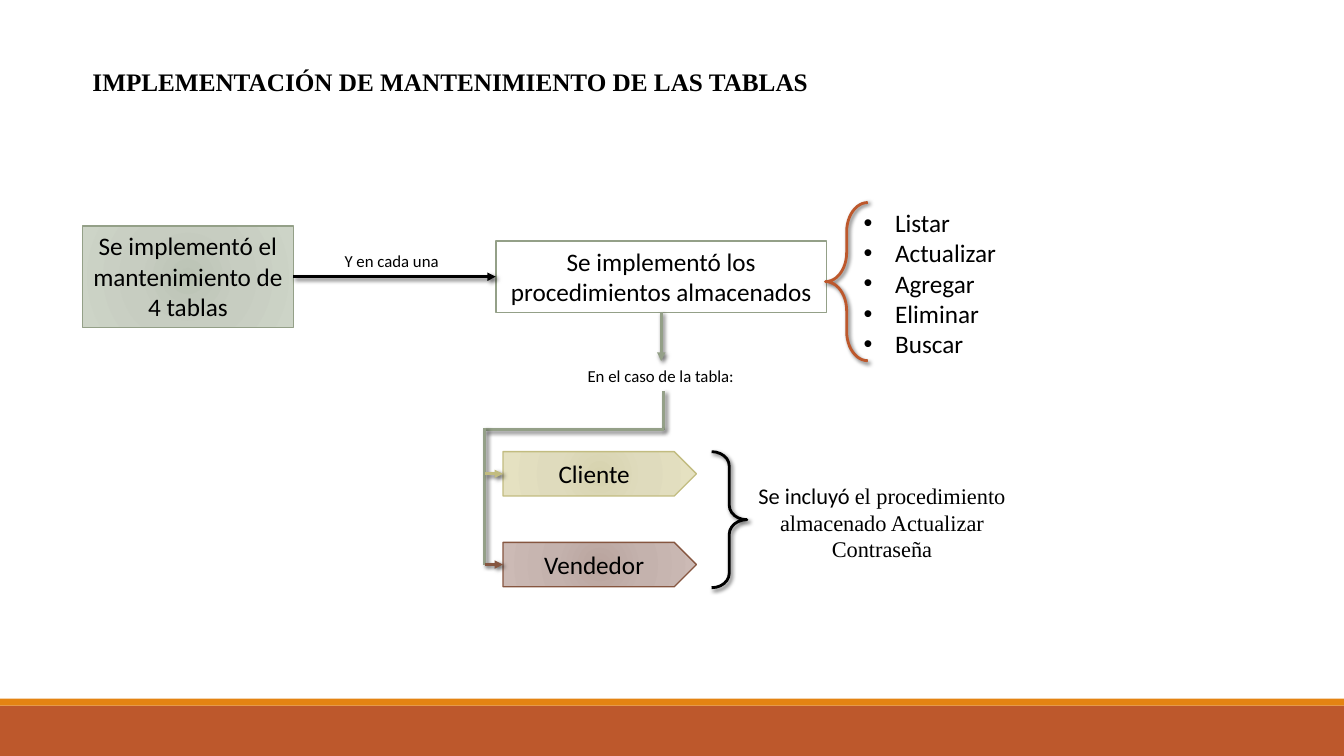
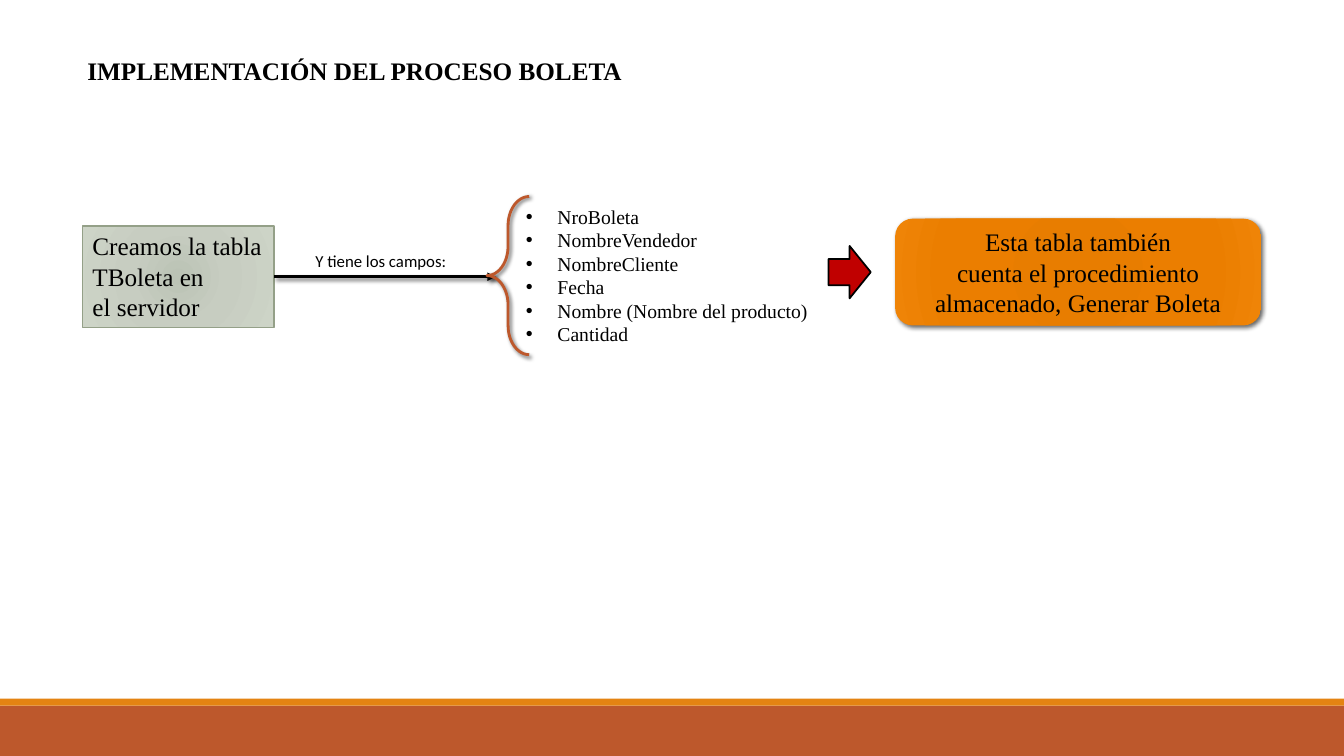
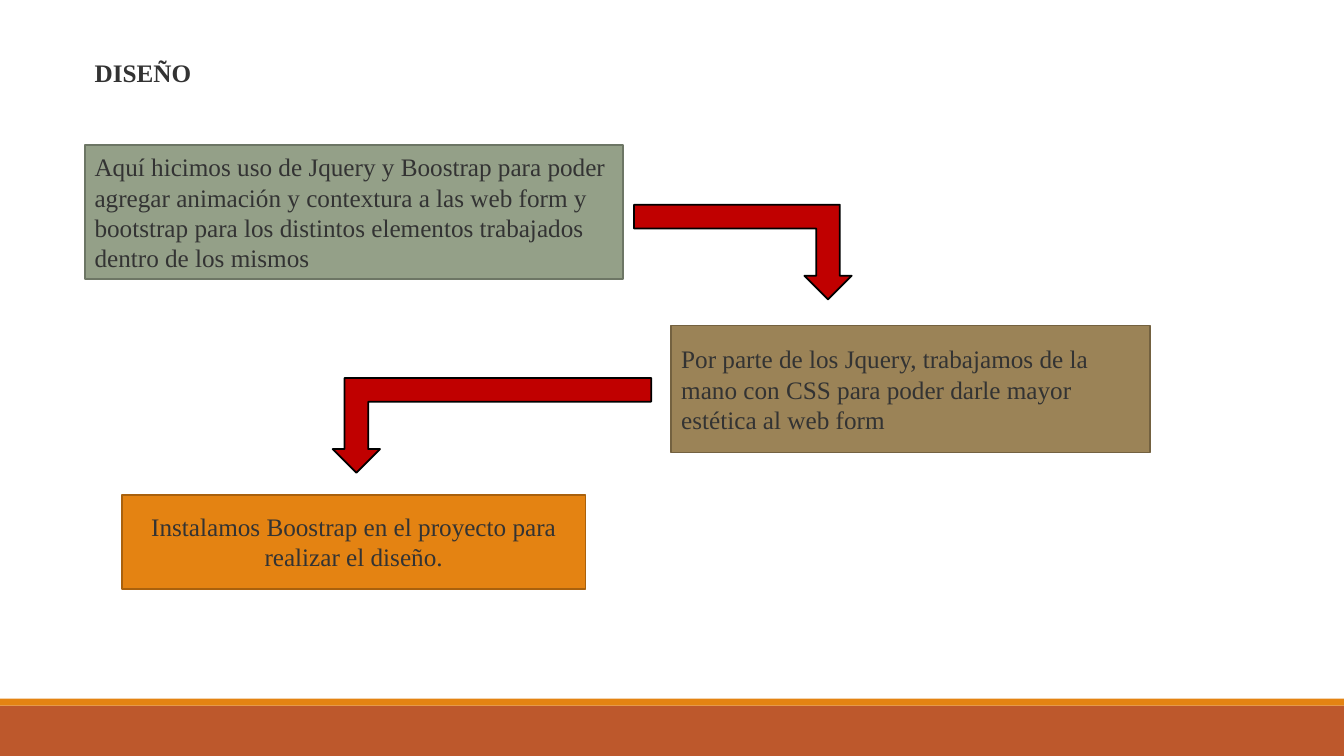
from dataclasses import dataclass, replace
from typing import Optional, Union

from lxml.etree import SubElement
from pptx import Presentation
from pptx.dml.color import RGBColor
from pptx.enum.shapes import MSO_CONNECTOR, MSO_SHAPE
from pptx.enum.text import MSO_ANCHOR, MSO_AUTO_SIZE, PP_ALIGN
from pptx.oxml import parse_xml
from pptx.oxml.ns import nsdecls, qn
from pptx.util import Pt


# Theme and descriptions of repeated elements
@dataclass(frozen=True)
class Gradient:
    stops: tuple[tuple[int, str], ...]


@dataclass(frozen=True)
class Stroke:
    color: str
    width: float


@dataclass(frozen=True)
class Theme:
    black: str = "000000"
    ink: str = "333333"
    white: str = "FFFFFF"
    rust: str = "BD582C"
    orange: str = "E48312"
    red: str = "C00000"
    sage: str = "94A088"
    sage_edge: str = "6D7665"
    brown: str = "9B8357"
    brown_edge: str = "736140"
    orange_edge: str = "A9610D"
    khaki: str = "C2BC80"
    maroon: str = "865640"
    sage_fade: Gradient = Gradient(((0, "BBC3B5"), (45, "C7CDC1"), (100, "CDD4C7")))
    khaki_fade: Gradient = Gradient(((0, "D7D3AF"), (45, "DFDBBD"), (100, "E5E1C1")))
    maroon_fade: Gradient = Gradient(((0, "B9A49E"), (45, "C4B2AD"), (100, "CCBAB5")))
    orange_fade: Gradient = Gradient(
        ((0, "E57B00"), (34, "E87D00"), (70, "EB7E00"), (100, "EF8407")))
    sans: str = "Calibri"
    serif: str = "Times New Roman"
    body: float = 18
    note: float = 16
    field: float = 14
    label: float = 12


THEME = Theme()


@dataclass(frozen=True)
class Box:
    left: float
    top: float
    width: float
    height: float

    @property
    def middle(self) -> float:
        return self.top + self.height / 2

    @property
    def center(self) -> float:
        return self.left + self.width / 2

    @property
    def right(self) -> float:
        return self.left + self.width

    @property
    def bottom(self) -> float:
        return self.top + self.height

    def lengths(self) -> tuple:
        return Pt(self.left), Pt(self.top), Pt(self.width), Pt(self.height)


@dataclass(frozen=True)
class Style:
    font: str = THEME.sans
    size: float = THEME.body
    color: str = THEME.black
    bold: bool = False
    align: PP_ALIGN = PP_ALIGN.LEFT
    bullet: bool = False
    outline: float = 0


@dataclass(frozen=True)
class Run:
    text: str
    font: Optional[str] = None


Paragraph = tuple[Run, ...]

SANS = Style()
SANS_CENTERED = replace(SANS, align=PP_ALIGN.CENTER)
SERIF = Style(font=THEME.serif)
SERIF_INK = replace(SERIF, color=THEME.ink)
LABEL = Style(size=THEME.label)
TITLE = replace(SERIF, bold=True)
SAGE_STROKE = Stroke(THEME.sage, 2)
BLACK_STROKE = Stroke(THEME.black, 2)
ARROW_EDGE = Stroke(THEME.black, 1.25)
TOP, LEFT, BOTTOM, RIGHT = range(4)


# Drawing functions
def add_shadow(properties, blur: float = 3) -> None:
    """Fill the effect list of a shape or connector, adding it if needed."""
    effects = properties.find(qn("a:effectLst"))
    if effects is None:
        effects = SubElement(properties, qn("a:effectLst"))
    shadow = SubElement(effects, qn("a:outerShdw"), blurRad=str(Pt(blur)),
                        dist=str(Pt(2)), dir="2700000", algn="tl", rotWithShape="0")
    color = SubElement(shadow, qn("a:srgbClr"), val=THEME.black)
    SubElement(color, qn("a:alpha"), val="60000")


def set_fill(shape, fill: Union[str, Gradient, None]) -> None:
    if isinstance(fill, str):
        shape.fill.solid()
        shape.fill.fore_color.rgb = RGBColor.from_string(fill)
        return
    shape.fill.background()
    if fill is None:
        return
    stops = "".join(f'<a:gs pos="{position * 1000}"><a:srgbClr val="{color}"/></a:gs>'
                    for position, color in fill.stops)
    gradient = parse_xml(
        f'<a:gradFill {nsdecls("a")} rotWithShape="1"><a:gsLst>{stops}</a:gsLst>'
        '<a:path path="circle"><a:fillToRect l="100000" t="100000" r="100000" b="100000"/>'
        '</a:path></a:gradFill>')
    properties = shape.element.spPr
    properties.replace(properties.find(qn("a:noFill")), gradient)


def set_stroke(line, stroke: Optional[Stroke]) -> None:
    if stroke is None:
        line.fill.background()
        return
    line.color.rgb = RGBColor.from_string(stroke.color)
    line.width = Pt(stroke.width)


def paragraphs_of(*texts: str) -> tuple[Paragraph, ...]:
    return tuple((Run(text),) for text in texts)


def write_text(shape, paragraphs: tuple[Paragraph, ...], style: Style,
               anchor: MSO_ANCHOR = MSO_ANCHOR.TOP) -> None:
    frame = shape.text_frame
    frame.word_wrap = True
    frame.vertical_anchor = anchor
    for index, runs in enumerate(paragraphs):
        paragraph = frame.add_paragraph() if index else frame.paragraphs[0]
        paragraph.alignment = style.align
        if style.bullet:
            properties = paragraph._p.get_or_add_pPr()
            properties.set("marL", str(Pt(22.5)))
            properties.set("indent", str(-Pt(22.5)))
            SubElement(properties, qn("a:buFont"), typeface="Arial")
            SubElement(properties, qn("a:buChar"), char="•")
        for part in runs:
            run = paragraph.add_run()
            run.text = part.text
            run.font.name = part.font or style.font
            run.font.size = Pt(style.size)
            run.font.bold = style.bold
            run.font.color.rgb = RGBColor.from_string(style.color)
            if style.outline:
                outline = parse_xml(
                    f'<a:ln {nsdecls("a")} w="{Pt(style.outline)}"><a:solidFill>'
                    f'<a:srgbClr val="{style.color}"/></a:solidFill></a:ln>')
                run.font._element.insert(0, outline)


def add_figure(slide, kind: MSO_SHAPE, box: Box, fill: Union[str, Gradient, None] = None,
               stroke: Optional[Stroke] = None):
    shape = slide.shapes.add_shape(kind, *box.lengths())
    set_fill(shape, fill)
    set_stroke(shape.line, stroke)
    shape.shadow.inherit = False
    return shape


def add_panel(slide, box: Box, fill: Union[str, Gradient], stroke: Optional[Stroke],
              style: Style, *texts: str, kind: MSO_SHAPE = MSO_SHAPE.RECTANGLE,
              anchor: MSO_ANCHOR = MSO_ANCHOR.MIDDLE):
    shape = add_figure(slide, kind, box, fill, stroke)
    write_text(shape, paragraphs_of(*texts), style, anchor)
    return shape


def add_text(slide, box: Box, style: Style, *paragraphs: Paragraph, wrap: bool = True):
    shape = slide.shapes.add_textbox(*box.lengths())
    write_text(shape, paragraphs, style)
    shape.text_frame.word_wrap = wrap
    shape.text_frame.auto_size = MSO_AUTO_SIZE.SHAPE_TO_FIT_TEXT
    return shape


def add_title(slide, box: Box, text: str, color: str = THEME.black) -> None:
    add_text(slide, box, replace(TITLE, color=color), *paragraphs_of(text), wrap=False)


def add_brace(slide, kind: MSO_SHAPE, box: Box, curve: float, color: str) -> None:
    brace = add_figure(slide, kind, box, stroke=Stroke(color, 2))
    brace.adjustments[0] = curve
    brace.adjustments[1] = 0.5
    add_shadow(brace.element.spPr)


def add_line(slide, start: tuple[float, float], end: tuple[float, float], stroke: Stroke,
             arrow: bool = False, source=None, target=None) -> None:
    """Draw a line; source and target are optional (shape, side) pairs."""
    connector = slide.shapes.add_connector(
        MSO_CONNECTOR.STRAIGHT, *(Pt(value) for value in (*start, *end)))
    set_stroke(connector.line, stroke)
    if arrow:
        SubElement(connector.line._get_or_add_ln(), qn("a:tailEnd"), type="triangle")
    add_shadow(connector.element.spPr)
    if source:
        connector.begin_connect(*source)
    if target:
        connector.end_connect(*target)


def add_bent_arrow(slide, box: Box, flipped: bool) -> None:
    arrow = add_figure(slide, MSO_SHAPE.BENT_UP_ARROW, box, THEME.red, ARROW_EDGE)
    arrow.rotation = 180
    if flipped:
        arrow.element.spPr.xfrm.set("flipH", "1")


def add_bands(slide, layout) -> None:
    """Put the two bottom bands on the layout that all slides share."""
    for placeholder in list(layout.placeholders):
        layout.shapes.element.remove(placeholder.element)
    for box, color in ((Box(0, 504, 960, 36), THEME.rust), (Box(0, 499, 960, 5), THEME.orange)):
        band = add_figure(slide, MSO_SHAPE.RECTANGLE, box, color)
        layout.shapes.element.append(band.element)


# Slides
def build_maintenance(slide) -> None:
    add_title(slide, Box(59, 44, 530.6, 28.8), "IMPLEMENTACIÓN DE MANTENIMIENTO DE LAS TABLAS")

    # Main row
    tables_box = Box(59, 161.3, 150.5, 72.7)
    procedures_box = Box(354.2, 172.1, 236.2, 51.1)
    tables = add_panel(slide, tables_box, THEME.sage_fade, Stroke(THEME.sage, 1), SANS_CENTERED,
                       "Se implementó el mantenimiento de 4 tablas", anchor=MSO_ANCHOR.TOP)
    procedures = add_panel(slide, procedures_box, THEME.white, Stroke(THEME.sage, 1.25),
                           SANS_CENTERED, "Se implementó los procedimientos almacenados",
                           anchor=MSO_ANCHOR.TOP)
    add_line(slide, (tables_box.right, tables_box.middle),
             (procedures_box.left, procedures_box.middle), BLACK_STROKE, arrow=True,
             source=(tables, RIGHT), target=(procedures, LEFT))
    add_text(slide, Box(239, 175.7, 107.3, 21.6), LABEL, *paragraphs_of("Y en cada una"))
    add_brace(slide, MSO_SHAPE.LEFT_BRACE, Box(589.7, 144.7, 30.2, 113), 0.69, THEME.rust)
    add_text(slide, Box(609.8, 144.7, 187.2, 116.6), replace(SANS, bullet=True),
             *paragraphs_of("Listar", "Actualizar", "Agregar", "Eliminar", "Buscar"))

    # Branch down to the two tables
    case_box = Box(412.6, 257.8, 123.1, 21.6)
    add_line(slide, (procedures_box.center, procedures_box.bottom),
             (procedures_box.center, case_box.top), SAGE_STROKE, arrow=True,
             source=(procedures, BOTTOM))
    case = add_text(slide, case_box, LABEL, *paragraphs_of("En el caso de la tabla:"), wrap=False)
    trunk, elbow = 346.3, 307
    first, pitch = Box(359.3, 322.6, 138.2, 31.7), 64.8
    add_line(slide, (case_box.center, case_box.bottom), (case_box.center, elbow), SAGE_STROKE,
             source=(case, BOTTOM))
    add_line(slide, (case_box.center, elbow), (trunk, elbow), SAGE_STROKE)
    add_line(slide, (trunk, elbow - 1), (trunk, first.middle + pitch), SAGE_STROKE)
    branches = (("Cliente", THEME.khaki_fade, THEME.khaki),
                ("Vendedor", THEME.maroon_fade, THEME.maroon))
    for index, (name, fade, color) in enumerate(branches):
        box = replace(first, top=first.top + index * pitch)
        branch = add_panel(slide, box, fade, Stroke(color, 1), SANS_CENTERED, name,
                           kind=MSO_SHAPE.PENTAGON)
        add_line(slide, (trunk, box.middle), (box.left, box.middle), Stroke(color, 2),
                 arrow=True, target=(branch, LEFT))

    # Remark on both tables
    add_brace(slide, MSO_SHAPE.RIGHT_BRACE, Box(508.3, 322.6, 25.2, 97.2), 0.41, THEME.black)
    add_text(slide, Box(533.5, 340.6, 193, 65.5),
             replace(SERIF, size=THEME.note, align=PP_ALIGN.CENTER),
             (Run("Se incluyó ", THEME.sans), Run("el procedimiento")),
             (Run("almacenado Actualizar Contraseña"),))


def build_receipt(slide) -> None:
    add_title(slide, Box(55.4, 36, 400.3, 28.8), "IMPLEMENTACIÓN DEL PROCESO BOLETA")

    # Table and its fields
    table_box = Box(59, 161.3, 136.8, 72.7)
    table = add_panel(slide, table_box, THEME.sage_fade, Stroke(THEME.sage, 1), SERIF,
                      "Creamos la tabla TBoleta en", "el servidor", anchor=MSO_ANCHOR.TOP)
    add_line(slide, (table_box.right, table_box.middle), (354.2, table_box.middle),
             BLACK_STROKE, arrow=True, source=(table, RIGHT))
    add_text(slide, Box(218.2, 175.7, 128.2, 21.6), LABEL, *paragraphs_of("Y tiene los campos:"))
    add_brace(slide, MSO_SHAPE.LEFT_BRACE, Box(347.8, 140.4, 30.2, 113), 0.69, THEME.rust)
    add_text(slide, Box(368.6, 142.6, 293.8, 108.7),
             replace(SERIF, size=THEME.field, bullet=True),
             *paragraphs_of("NroBoleta", "NombreVendedor", "NombreCliente", "Fecha",
                            "Nombre (Nombre del producto)", "Cantidad"))

    # Stored procedure
    add_figure(slide, MSO_SHAPE.RIGHT_ARROW, Box(591.8, 175.7, 30.2, 37.4), THEME.red, ARROW_EDGE)
    procedure = add_panel(slide, Box(639.4, 156.2, 261.4, 76.3), THEME.orange_fade, None,
                          replace(SERIF, align=PP_ALIGN.CENTER, outline=0.75),
                          "Esta tabla también",
                          "cuenta el procedimiento almacenado, Generar Boleta",
                          kind=MSO_SHAPE.ROUNDED_RECTANGLE)
    add_shadow(procedure.element.spPr, blur=3.5)


def build_design(slide) -> None:
    add_title(slide, Box(60.5, 37.4, 138.2, 28.8), "DISEÑO", THEME.ink)

    # Steps
    add_panel(slide, Box(60.5, 103.7, 384.5, 95.8), THEME.sage, Stroke(THEME.sage_edge, 1.25),
              SERIF_INK,
              "Aquí hicimos uso de Jquery y Boostrap para poder agregar animación y contextura "
              "a las web form y bootstrap para los distintos elementos trabajados dentro de "
              "los mismos")
    add_panel(slide, Box(479.5, 232.6, 342, 90.7), THEME.brown, Stroke(THEME.brown_edge, 1.25),
              SERIF_INK,
              "Por parte de los Jquery, trabajamos de la mano con CSS para poder darle mayor",
              "estética al web form")
    add_panel(slide, Box(87.1, 353.5, 331.2, 67), THEME.orange, Stroke(THEME.orange_edge, 1.25),
              replace(SERIF_INK, align=PP_ALIGN.CENTER),
              "Instalamos Boostrap en el proyecto para realizar el diseño.")

    # Arrows between the steps
    add_bent_arrow(slide, Box(452.9, 146.2, 155.5, 67.7), flipped=True)
    add_bent_arrow(slide, Box(237.6, 270, 227.5, 67.7), flipped=False)


def main() -> None:
    presentation = Presentation()
    presentation.slide_width, presentation.slide_height = Pt(960), Pt(540)
    layout = presentation.slide_layouts[6]
    for index, build in enumerate((build_maintenance, build_receipt, build_design)):
        slide = presentation.slides.add_slide(layout)
        if index == 0:
            add_bands(slide, layout)
        build(slide)
    presentation.save("out.pptx")


if __name__ == "__main__":
    main()
